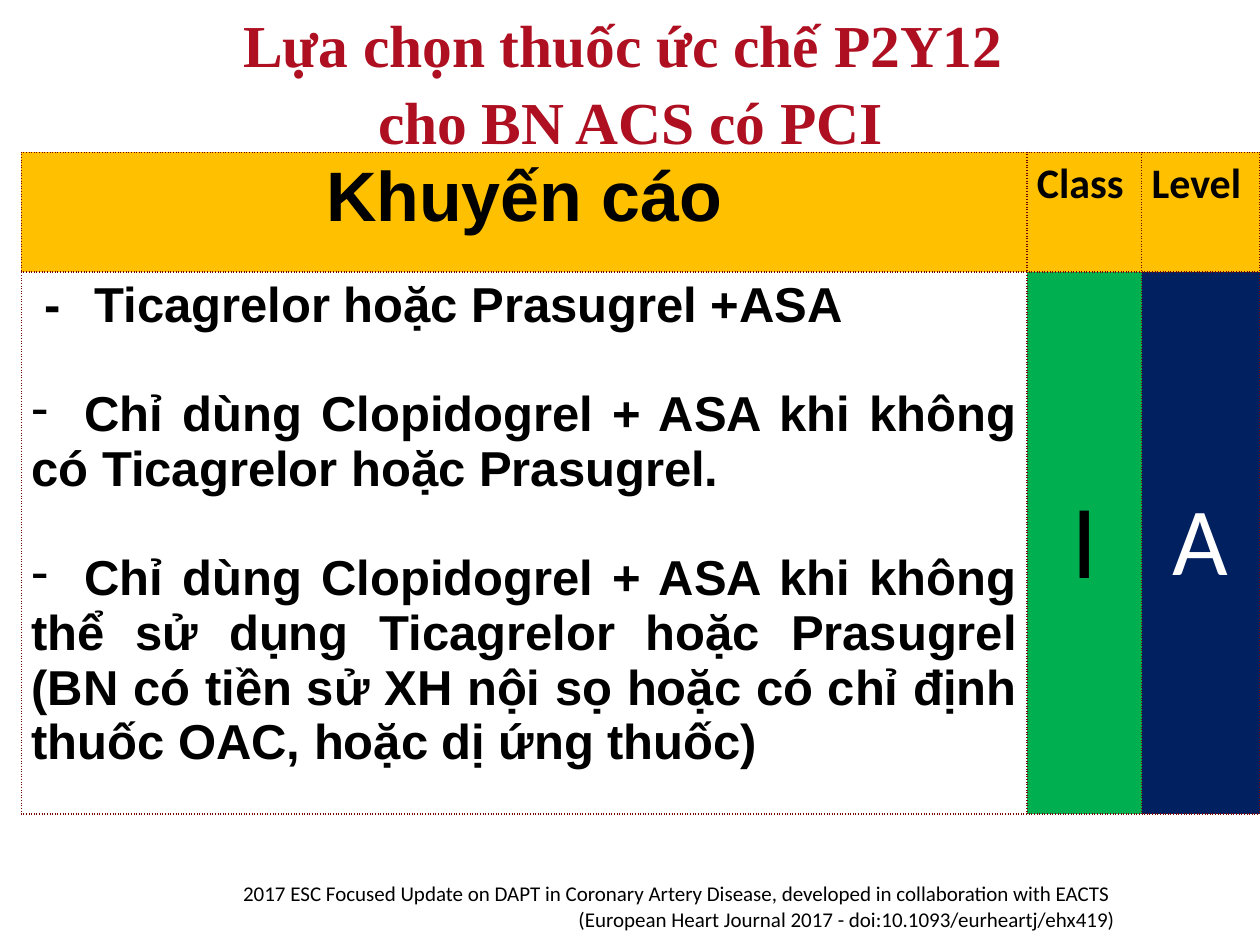
import pptx
import pptx.dml.color
import pptx.enum.text
import pptx.oxml.ns
import pptx.util
from lxml import etree

Inches, Pt = pptx.util.Inches, pptx.util.Pt
RGB = pptx.dml.color.RGBColor.from_string
ALIGN = pptx.enum.text.PP_ALIGN
ANCHOR = pptx.enum.text.MSO_ANCHOR
qn = pptx.oxml.ns.qn

THEME = {
    "title": ("Times New Roman", 34, "AE1021", True),
    "heading": ("Arial", 40, "000000", True),
    "grade_heading": ("Calibri", 24, "000000", True),
    "advice": ("Arial", 28, "000000", True),
    "class": ("Calibri", 60, "000000", False),
    "level": ("Calibri", 55, "FFFFFF", False),
    "source": ("Calibri", 12, "000000", False),
    "header_fill": "FFC000",
    "advice_fill": "FFFFFF",
    "class_fill": "00B050",
    "level_fill": "002060",
    "border": "790505",
}


def add_text(para, text, style, align):
    name, size, color, bold = THEME[style]
    para.alignment = align
    span = para.add_run()
    span.text = text
    span.font.name, span.font.size, span.font.bold = name, Pt(size), bold
    span.font.color.rgb = RGB(color)


def add_dotted_borders(cell):
    properties = cell._tc.get_or_add_tcPr()
    for side in ("lnL", "lnR", "lnT", "lnB"):
        line = etree.SubElement(properties, qn(f"a:{side}"), w=str(Pt(1)))
        fill = etree.SubElement(line, qn("a:solidFill"))
        etree.SubElement(fill, qn("a:srgbClr"), val=THEME["border"])
        etree.SubElement(line, qn("a:prstDash"), val="sysDot")


deck = pptx.Presentation()
deck.slide_width, deck.slide_height = Inches(10), Inches(7.5)
page = deck.slides.add_slide(deck.slide_layouts[5])

# Title and source line
title = page.shapes.title
title.left, title.top, title.width, title.height = map(Inches, (1.35, 0.02, 7.31, 1.14))
source = page.shapes.add_textbox(*map(Inches, (1.25, 6.99, 7.6, 0.42)))
texts = [
    (title, "title", ALIGN.CENTER, ["Lựa chọn thuốc ức chế P2Y12 ", "cho BN ACS có PCI"]),
    (source, "source", ALIGN.RIGHT, [
        "2017 ESC Focused Update on DAPT in Coronary Artery Disease, "
        "developed in collaboration with EACTS ",
        "(European Heart Journal 2017 - doi:10.1093/eurheartj/ehx419)",
    ]),
]
for box, style, align, lines in texts:
    frame = box.text_frame
    frame.word_wrap = True
    frame.auto_size = pptx.enum.text.MSO_AUTO_SIZE.NONE
    frame.vertical_anchor = ANCHOR.TOP
    frame.margin_left = frame.margin_right = frame.margin_top = frame.margin_bottom = 0
    for index, line in enumerate(lines):
        para = frame.paragraphs[0] if index == 0 else frame.add_paragraph()
        if box is title:
            para.line_spacing = 1.08
        elif index:
            para.space_before = Pt(0.5)
        add_text(para, line, style, align)

# Recommendation table
column_widths, row_heights = (7.98, 0.91, 0.94), (0.95, 4.3)
table = page.shapes.add_table(
    len(row_heights), len(column_widths), Inches(0.17), Inches(1.21),
    Inches(sum(column_widths)), Inches(sum(row_heights))).table
table.first_row = table.horz_banding = False
for column, width in zip(table.columns, column_widths):
    column.width = Inches(width)
for row, height in zip(table.rows, row_heights):
    row.height = Inches(height)

cells = [
    [("Khuyến cáo", "heading", ALIGN.CENTER, "header_fill"),
     ("Class", "grade_heading", ALIGN.LEFT, "header_fill"),
     ("Level", "grade_heading", ALIGN.LEFT, "header_fill")],
    [(None, "advice", ALIGN.JUSTIFY, "advice_fill"),
     ("I", "class", ALIGN.CENTER, "class_fill"),
     ("A", "level", ALIGN.CENTER, "level_fill")],
]
for row_index, row in enumerate(cells):
    for column_index, (text, style, align, fill) in enumerate(row):
        cell = table.cell(row_index, column_index)
        cell.margin_left = cell.margin_right = Inches(0.08)
        cell.margin_top = cell.margin_bottom = Inches(0.05)
        add_dotted_borders(cell)
        cell.fill.solid()
        cell.fill.fore_color.rgb = RGB(THEME[fill])
        if text:
            cell.vertical_anchor = ANCHOR.MIDDLE if row_index else ANCHOR.TOP
            add_text(cell.text_frame.paragraphs[0], text, style, align)

# Recommendations: a dash, a tab, then justified text
advice = [
    ("-\tTicagrelor hoặc Prasugrel +ASA", 0.1, 0.45, False),
    ("\tChỉ dùng Clopidogrel + ASA khi không có Ticagrelor hoặc Prasugrel.",
     0, 0.42, True),
    ("\tChỉ dùng Clopidogrel + ASA khi không thể sử dụng Ticagrelor hoặc Prasugrel "
     "(BN có tiền sử XH nội sọ hoặc có chỉ định thuốc OAC, hoặc dị ứng thuốc)",
     0, 0.42, True),
]
frame = table.cell(1, 0).text_frame
for index, (text, indent, tab, bulleted) in enumerate(advice):
    para = frame.paragraphs[0] if index == 0 else frame.add_paragraph()
    properties = para._p.get_or_add_pPr()
    properties.set("marL", "0")
    properties.set("indent", str(Inches(indent)))
    if bulleted:
        etree.SubElement(properties, qn("a:buChar"), char="-")
    tabs = etree.SubElement(properties, qn("a:tabLst"))
    etree.SubElement(tabs, qn("a:tab"), pos=str(Inches(tab)), algn="l")
    if index:
        para.space_before = Pt(31.2)
    add_text(para, text, "advice", ALIGN.JUSTIFY)

deck.save("out.pptx")
